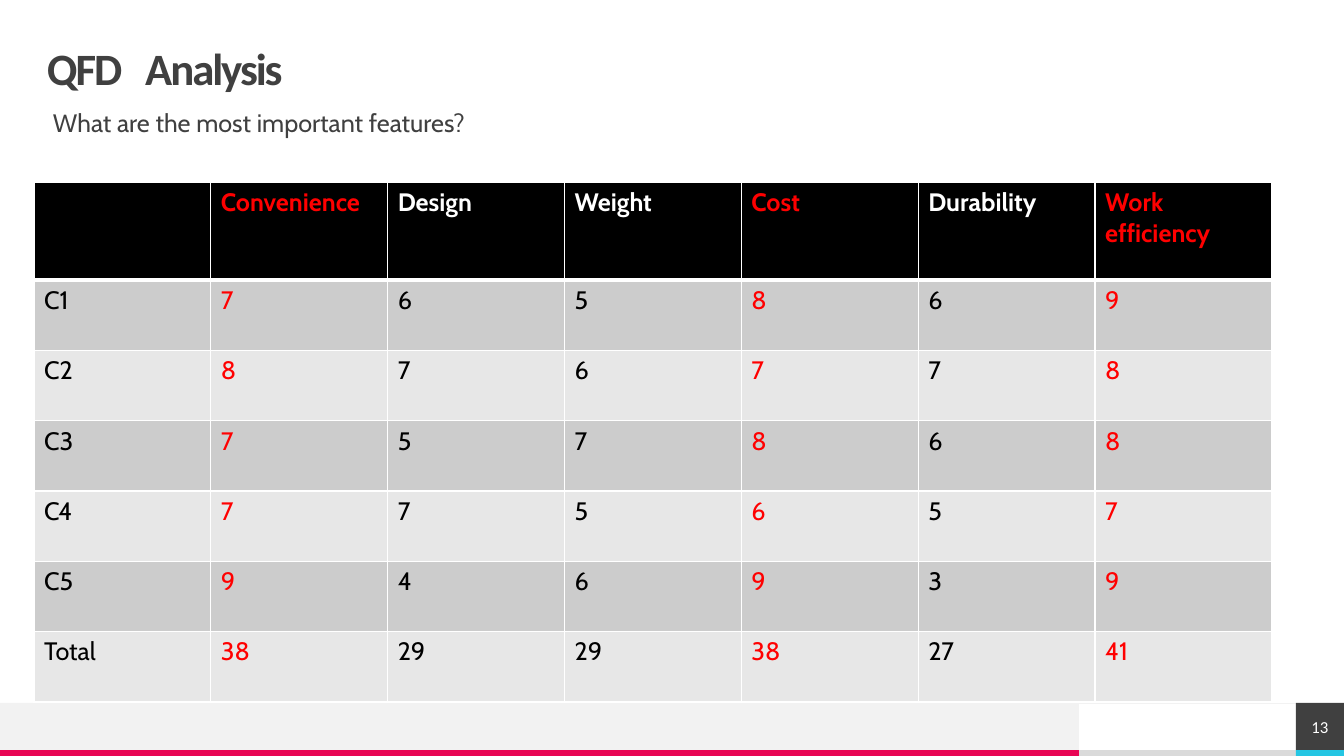
from lxml.etree import SubElement
from pptx import Presentation
from pptx.dml.color import RGBColor
from pptx.enum.shapes import MSO_CONNECTOR, MSO_SHAPE
from pptx.enum.text import MSO_ANCHOR, PP_ALIGN
from pptx.oxml.ns import qn
from pptx.util import Emu, Pt

COLORS = {
    "white": "FFFFFF", "black": "000000", "red": "FF0000", "dark": "404040",
    "pale": "F2F2F2", "silver": "DADADA", "pink": "E80554", "cyan": "25C6E3",
    "band_dark": "CCCCCC", "band_light": "E7E7E7",
}
HEADERS = ["", "Convenience", "Design", "Weight", "Cost", "Durability", "Work efficiency"]
SCORES = [
    ["C1", 7, 6, 5, 8, 6, 9],
    ["C2", 8, 7, 6, 7, 7, 8],
    ["C3", 7, 5, 7, 8, 6, 8],
    ["C4", 7, 7, 5, 6, 5, 7],
    ["C5", 9, 4, 6, 9, 3, 9],
    ["Total", 38, 29, 29, 38, 27, 41],
]
KEY_FEATURES = {"Convenience", "Cost", "Work efficiency"}


def px(n):
    return Emu(round(n * 12192000 / 1344))


def rgb(name):
    return RGBColor.from_string(COLORS[name])


class SlideBuilder:
    """Draws styled elements on one slide, with lengths in px."""

    def __init__(self, prs):
        self.s = prs.slides.add_slide(prs.slide_layouts[6])

    def run(self, p, text, size, color, font="Calibri", bold=False, spacing=0):
        r = p.add_run()
        r.text = text
        r.font.size = Pt(size)
        r.font.name = font
        r.font.bold = bold
        r.font.color.rgb = rgb(color)
        if spacing:
            r.font._element.set("spc", str(round(spacing * 100)))

    def frame(self, sp, align, anchor):
        tf = sp.text_frame
        tf.word_wrap = True
        tf.vertical_anchor = anchor
        tf.margin_left = tf.margin_top = tf.margin_right = tf.margin_bottom = 0
        p = tf.paragraphs[0]
        p.alignment = align
        return p

    def text(self, x, y, w, h, anchor):
        sp = self.s.shapes.add_textbox(px(x), px(y), px(w), px(h))
        p = self.frame(sp, PP_ALIGN.LEFT, anchor)
        p.line_spacing = 0.9
        return p

    def rect(self, x, y, w, h, fill):
        sp = self.s.shapes.add_shape(MSO_SHAPE.RECTANGLE, px(x), px(y), px(w), px(h))
        sp.shadow.inherit = False
        sp.fill.solid()
        sp.fill.fore_color.rgb = rgb(fill)
        sp.line.fill.background()
        return sp

    def line(self, x1, y1, x2, y2, color, width):
        cn = self.s.shapes.add_connector(MSO_CONNECTOR.STRAIGHT, px(x1), px(y1), px(x2), px(y2))
        cn.line.color.rgb = rgb(color)
        cn.line.width = Pt(width)
        SubElement(cn._element.spPr, qn("a:effectLst"))

    def borders(self, cell, widths):
        tc_pr = cell._tc.get_or_add_tcPr()
        for i, (side, width) in enumerate(widths.items()):
            ln = tc_pr.makeelement(qn(f"a:ln{side}"), {"w": str(Pt(width))})
            fill = SubElement(ln, qn("a:solidFill"))
            SubElement(fill, qn("a:srgbClr"), val=COLORS["white"])
            tc_pr.insert(i, ln)

    def table(self, x, y, w, h, header_h, headers, rows, highlighted):
        grid = [headers, *rows]
        tbl = self.s.shapes.add_table(len(grid), len(headers), px(x), px(y), px(w), px(h)).table
        tbl.first_row = tbl.horz_banding = False
        for col in tbl.columns:
            col.width = px(w / len(headers))
        for i, values in enumerate(grid):
            is_header = i == 0
            tbl.rows[i].height = px(header_h if is_header else (h - header_h) / len(rows))
            fill = "black" if is_header else "band_dark" if i % 2 else "band_light"
            plain = "white" if is_header else "black"
            for j, value in enumerate(values):
                cell = tbl.cell(i, j)
                cell.fill.solid()
                cell.fill.fore_color.rgb = rgb(fill)
                self.borders(cell, {"L": 1, "R": 1, "T": 3 if i == 1 else 1,
                                    "B": 3 if is_header else 1})
                if value != "":
                    color = "red" if headers[j] in highlighted else plain
                    self.run(cell.text_frame.paragraphs[0], str(value), 18, color,
                             "Cabin", is_header)


def main():
    prs = Presentation()
    prs.slide_width, prs.slide_height = px(1344), px(756)
    b = SlideBuilder(prs)

    b.rect(1079, 750, 217, 6, "silver")
    b.rect(0, 703, 1079, 47, "pale")
    b.rect(0, 750, 1079, 6, "pink")
    b.rect(1296, 750, 48, 6, "cyan")
    b.line(1344, 703, 0, 703, "pale", 0.5)

    p = b.text(47, 48, 1249, 47, MSO_ANCHOR.MIDDLE)
    for text, spacing in [("QFD", -1.5), (" ", 9), ("Analysis", -1.5)]:
        b.run(p, text, 32, "dark", bold=True, spacing=spacing)
    p = b.text(53, 111, 1243, 39, MSO_ANCHOR.TOP)
    b.run(p, "What are the most important features?", 18, "dark", "Cabin")

    number = b.rect(1296, 703, 48, 47, "dark")
    p = b.frame(number, PP_ALIGN.CENTER, MSO_ANCHOR.MIDDLE)
    b.run(p, "13", 12, "white")

    b.table(34, 182, 1238, 520, 98, HEADERS, SCORES, KEY_FEATURES)
    prs.save("out.pptx")


if __name__ == "__main__":
    main()
